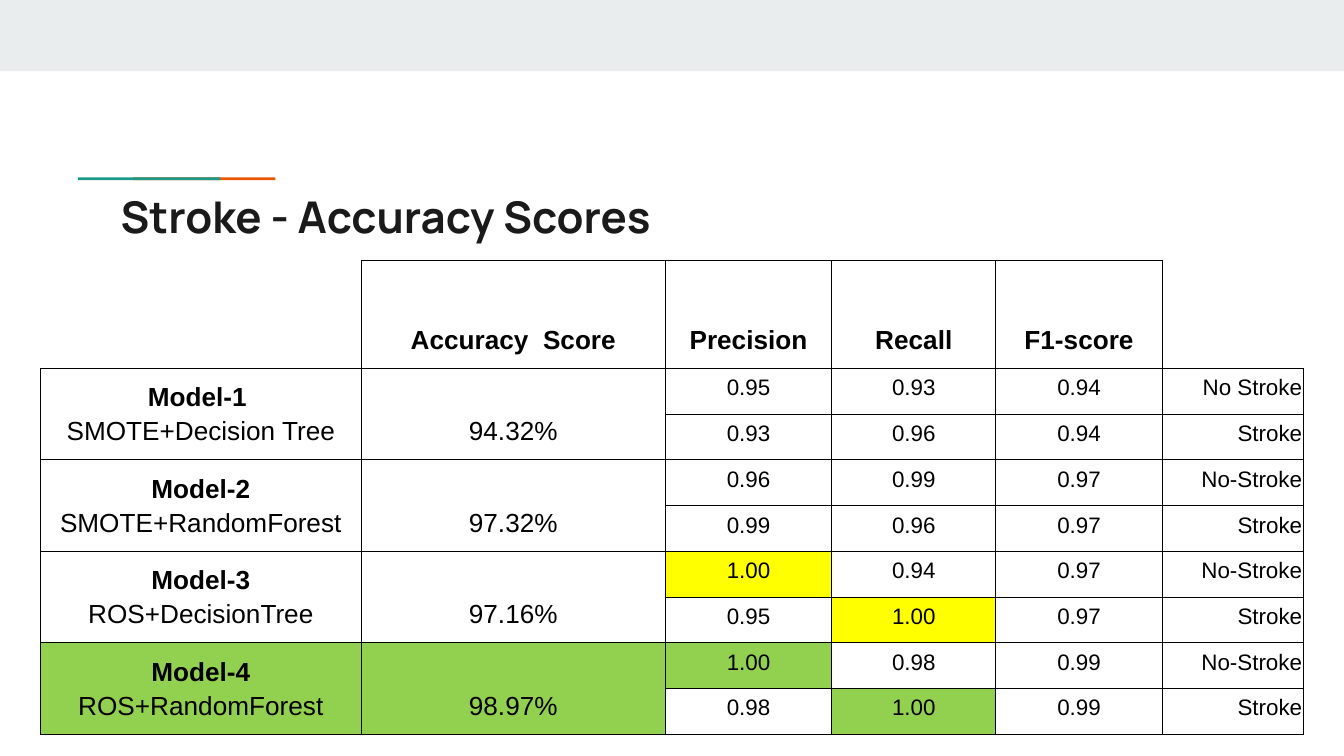
from lxml import etree
from pptx import Presentation, util as u
from pptx.dml.color import RGBColor
from pptx.enum import shapes, text
from pptx.oxml import ns

COLORS = {
    "band": "E9EDEE", "orange": "EB5600", "teal": "1A9988", "title": "1A1A1A",
    "ink": "000000", "yellow": "FFFF00", "green": "92D050",
}
COLUMN_WIDTHS = [2.39, 2.26, 1.24, 1.22, 1.24, 1.05]
HEADER_ROWS = 2
ROW_HEIGHT = 0.25  # a minimum: rows grow to fit their text
HEADINGS = ["Accuracy  Score", "Precision", "Recall", "F1-score"]

# Paragraphs of (model, method) runs, accuracy, then per class:
# precision, recall, F1, class
MODELS = [
    ([["Model-1 "], ["", "SMOTE+Decision Tree"]], "94.32%",
     [("0.95", "0.93", "0.94", " No Stroke"), ("0.93", "0.96", "0.94", "Stroke")]),
    ([["Model-2 ", "SMOTE+RandomForest"]], "97.32%",
     [("0.96", "0.99", "0.97", "No-Stroke"), ("0.99", "0.96", "0.97", "Stroke")]),
    ([["Model-3", " ROS+DecisionTree"]], "97.16%",
     [("1.00", "0.94", "0.97", "No-Stroke"), ("0.95", "1.00", "0.97", "Stroke")]),
    ([["Model-4", " ROS+RandomForest"]], "98.97%",
     [("1.00", "0.98", "0.99", "No-Stroke"), ("0.98", "1.00", "0.99", "Stroke")]),
]
HIGHLIGHTS = {
    (6, 2): "yellow", (7, 3): "yellow",
    (8, 0): "green", (8, 1): "green", (8, 2): "green", (9, 3): "green",
}
# Sides drawn on the open corners of the table; every other cell has all four
CORNER_SIDES = {(0, 0): "RB", (1, 0): "RB", (0, 5): "L", (1, 5): "LB"}


def rgb(name):
    return RGBColor.from_string(COLORS[name])


def write(paragraph, words, size=14, font="Arial", color="ink", bold=False,
          align=text.PP_ALIGN.CENTER, spacing=1.15):
    paragraph.alignment = align
    paragraph.line_spacing = spacing
    run = paragraph.add_run()
    run.text = words
    run.font.size = u.Pt(size)
    run.font.name = font
    run.font.bold = bold
    run.font.color.rgb = rgb(color)


def set_borders(cell, sides):
    properties = cell._tc.get_or_add_tcPr()
    for side in "LRTB":
        line = etree.SubElement(properties, ns.qn(f"a:ln{side}"), w=str(u.Pt(0.5)))
        if side in sides:
            fill = etree.SubElement(line, ns.qn("a:solidFill"))
            etree.SubElement(fill, ns.qn("a:srgbClr"), val=COLORS["ink"])
        else:
            etree.SubElement(line, ns.qn("a:noFill"))


def set_empty_font(cell):
    paragraph = cell.text_frame.paragraphs[0]._p
    end = etree.SubElement(paragraph, ns.qn("a:endParaRPr"), sz="1800")
    etree.SubElement(end, ns.qn("a:latin"), typeface="Arial")


class ScoreSlide:
    def __init__(self, deck):
        self.slide = deck.slides.add_slide(deck.slide_layouts[6])

    def bar(self, left, top, width, height, color):
        bar = self.slide.shapes.add_shape(
            shapes.MSO_SHAPE.RECTANGLE, *map(u.Inches, (left, top, width, height)))
        bar.shadow.inherit = False
        bar.fill.solid()
        bar.fill.fore_color.rgb = rgb(color)
        bar.line.fill.background()

    def title(self, words, left, top, width, height):
        box = self.slide.shapes.add_textbox(*map(u.Inches, (left, top, width, height)))
        frame = box.text_frame
        frame.word_wrap = True
        frame.margin_left = frame.margin_right = u.Inches(0.1)
        frame.margin_top = frame.margin_bottom = u.Inches(0.1)
        write(frame.paragraphs[0], words, size=23.4, font="Manrope", color="title",
              bold=True, align=text.PP_ALIGN.LEFT, spacing=1.0)

    def grid(self, left, top, widths, row_count):
        table = self.slide.shapes.add_table(
            row_count, len(widths), u.Inches(left), u.Inches(top),
            u.Inches(sum(widths)), u.Inches(row_count * ROW_HEIGHT)).table
        table.first_row = table.horz_banding = False
        for column, width in zip(table.columns, widths):
            column.width = u.Inches(width)
        for r in range(row_count):
            for c in range(len(widths)):
                cell = table.cell(r, c)
                set_borders(cell, CORNER_SIDES.get((r, c), "LRTB"))
                if (r, c) in CORNER_SIDES:
                    set_empty_font(cell)
                if (r, c) in HIGHLIGHTS:
                    cell.fill.solid()
                    cell.fill.fore_color.rgb = rgb(HIGHLIGHTS[r, c])
                else:
                    cell.fill.background()
        return table

    def entry(self, table, row, column, words="", rows=1, **style):
        cell = table.cell(row, column)
        if rows > 1:
            cell.merge(table.cell(row + rows - 1, column))
        cell.vertical_anchor = text.MSO_ANCHOR.BOTTOM
        cell.margin_left = cell.margin_right = cell.margin_top = u.Inches(0.01)
        cell.margin_bottom = u.Inches(0.1)
        if words:
            write(cell.text_frame.paragraphs[0], words, **style)
        return cell.text_frame


def main():
    deck = Presentation()
    deck.slide_width, deck.slide_height = u.Inches(10), u.Inches(10 * 9 / 16)
    page = ScoreSlide(deck)

    # Top band, accent line and title
    page.bar(0, 0, 10, 0.53, "band")
    page.bar(0.99, 1.32, 1.06, 0.02, "orange")
    page.bar(0.58, 1.32, 1.06, 0.02, "teal")
    page.title("Stroke - Accuracy Scores", 0.8, 1.31, 8.41, 0.53)

    # Table header
    scores = page.grid(0.3, 1.94, COLUMN_WIDTHS, HEADER_ROWS + 2 * len(MODELS))
    scores.cell(0, 0).merge(scores.cell(1, 0))
    for column, heading in enumerate(HEADINGS, 1):
        page.entry(scores, 0, column, heading, rows=HEADER_ROWS, bold=True)

    # Two rows per model
    for index, (name_lines, accuracy, classes) in enumerate(MODELS):
        first = HEADER_ROWS + 2 * index
        name = page.entry(scores, first, 0, rows=2)
        for number, runs in enumerate(name_lines):
            line = name.add_paragraph() if number else name.paragraphs[0]
            for part, words in enumerate(runs):
                if words:
                    write(line, words, bold=part == 0)
        page.entry(scores, first, 1, accuracy, rows=2)
        for row, (*metrics, label) in enumerate(classes, first):
            for column, metric in enumerate(metrics, 2):
                page.entry(scores, row, column, metric, size=12)
            page.entry(scores, row, 5, label, size=12, align=text.PP_ALIGN.RIGHT)

    deck.save("out.pptx")


if __name__ == "__main__":
    main()
